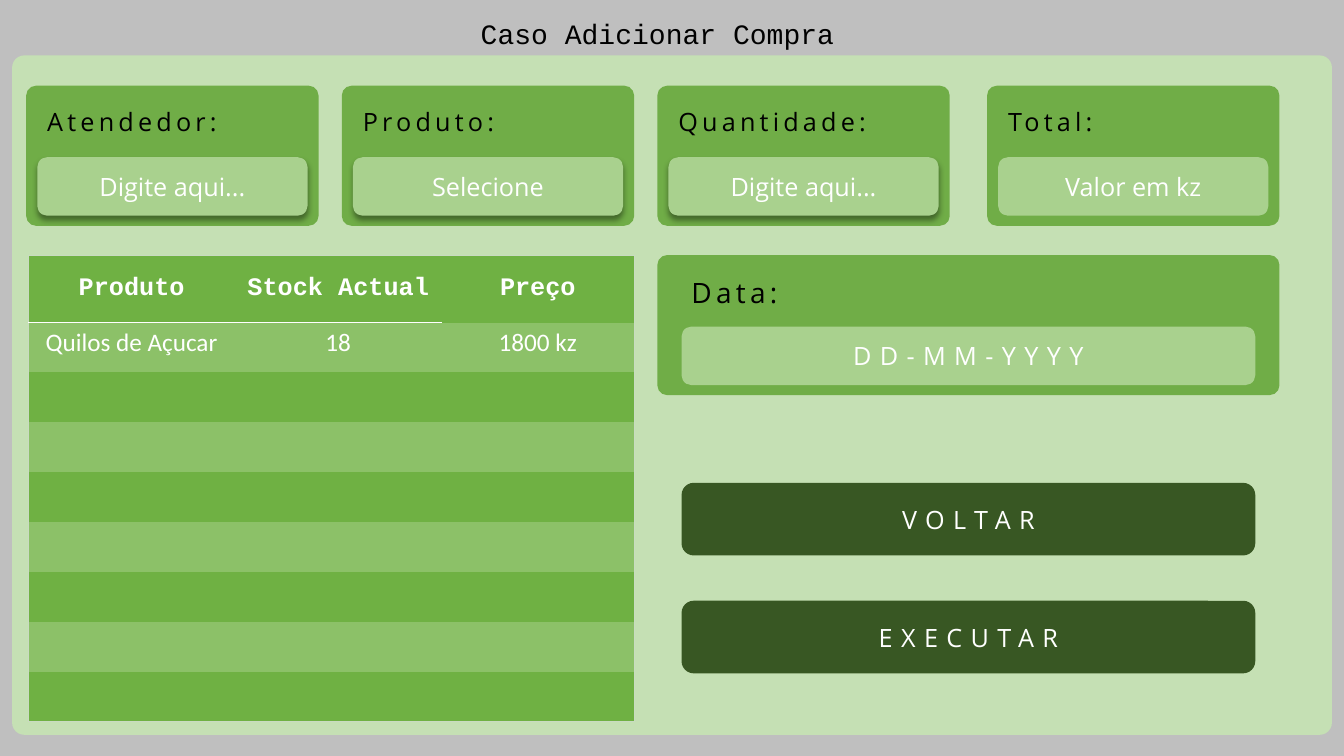
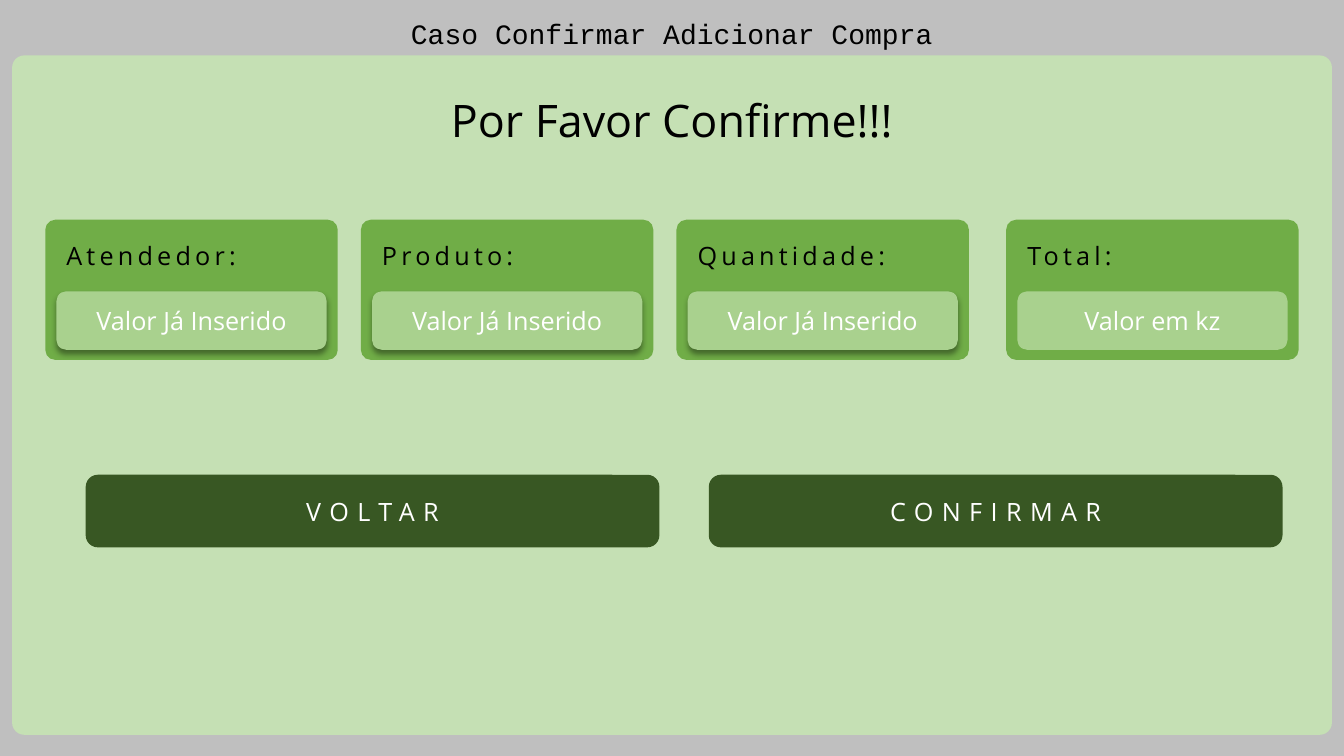
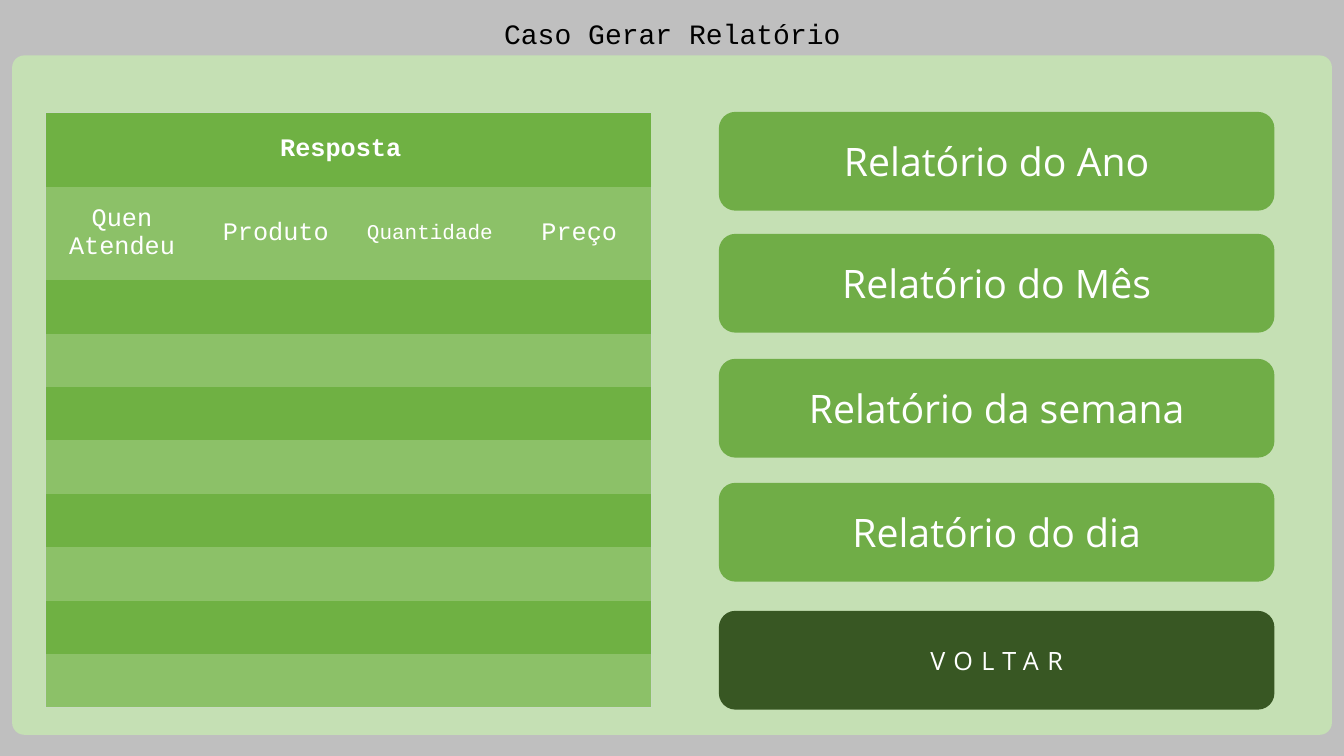
from lxml.etree import SubElement
from pptx import Presentation
from pptx.dml.color import RGBColor
from pptx.enum.shapes import MSO_SHAPE
from pptx.enum.text import MSO_ANCHOR, MSO_AUTO_SIZE, PP_ALIGN
from pptx.oxml import parse_xml
from pptx.oxml.ns import nsdecls, qn
from pptx.util import Inches, Pt

# Shared look
GREY, PANEL, CARD, INPUT, BUTTON = "BFBFBF", "C5E0B4", "70AD47", "A9D18E", "385723"
ROW, BAND, EDGE = "6FB143", "8CC168", "C9DBC1"
WHITE, BLACK = "FFFFFF", "000000"
SANS, MONO, BODY = "Open Sans", "Courier New", "Calibri"
CENTER, LEFT = PP_ALIGN.CENTER, PP_ALIGN.LEFT


def rgb(color):
    return RGBColor.from_string(color)


def write(tf, text, size, color, font=SANS, align=CENTER, spacing=0, bold=False):
    p = tf.paragraphs[0]
    p.alignment = align
    p.font.size, p.font.name, p.font.bold = Pt(size), font, bold
    p.font.color.rgb = rgb(color)
    r = p.add_run()
    r.text = text
    if spacing:
        r.font._element.set("spc", str(spacing * 100))


def label(s, text, left, top, width, height, size, **style):
    tf = s.shapes.add_textbox(
        Inches(left), Inches(top), Inches(width), Inches(height)).text_frame
    tf.word_wrap = True
    tf.auto_size = MSO_AUTO_SIZE.SHAPE_TO_FIT_TEXT
    write(tf, text, size, BLACK, **style)


def box(s, left, top, width, height, color, radius=None):
    sp = s.shapes.add_shape(MSO_SHAPE.ROUNDED_RECTANGLE, Inches(left),
                            Inches(top), Inches(width), Inches(height))
    sp.shadow.inherit = False
    sp.fill.solid()
    sp.fill.fore_color.rgb = rgb(color)
    sp.line.fill.background()
    if radius is not None:
        sp.adjustments[0] = radius
    return sp


def button(s, text, left, top, width, height, color=BUTTON, size=18, spacing=6):
    sp = box(s, left, top, width, height, color)
    sp.text_frame.vertical_anchor = MSO_ANCHOR.MIDDLE
    write(sp.text_frame, text, size, WHITE, spacing=spacing)
    return sp


def drop_shadow(sp):
    effects = sp._element.spPr.find(qn("a:effectLst"))
    shadow = SubElement(effects, qn("a:outerShdw"), blurRad=str(Pt(4)),
                        dist=str(Pt(3)), dir="5400000", algn="t", rotWithShape="0")
    black = SubElement(shadow, qn("a:srgbClr"), val=BLACK)
    SubElement(black, qn("a:alpha"), val="40000")


def card(s, name, value, left, top, width=2.9, inset=0.11, size=18,
         spacing=0, raised=False):
    """A titled card holding one input field."""
    inner = width - 2 * inset
    box(s, left, top, width, 1.39, CARD, 0.07)
    label(s, name, left + inset, top + 0.155, inner, 0.4, size,
          align=LEFT, spacing=3)
    field = button(s, value, left + inset, top + 0.71, inner, 0.58,
                   INPUT, spacing=spacing)
    if raised:
        drop_shadow(field)


def purchase_cards(s, left, top, values):
    names = ["Atendedor:", "Produto:", "Quantidade:"]
    for i, (name, value) in enumerate(zip(names, values)):
        card(s, name, value, left + 3.13 * i, top, raised=True)
    card(s, "Total:", "Valor em kz", left + 9.53, top)


def set_borders(cell, borders):
    """Draw the given sides as (color, points); hide the others."""
    tc_pr = cell._tc.get_or_add_tcPr()
    for i, side in enumerate("LRTB"):
        color, points = borders.get(side, (None, 0))
        paint = (f'<a:solidFill><a:srgbClr val="{color}"/></a:solidFill>'
                 if color else "<a:noFill/>")
        tc_pr.insert(i, parse_xml(
            f'<a:ln{side} {nsdecls("a")} w="{Pt(points)}">{paint}</a:ln{side}>'))


def table(s, left, top, widths, heights, rows, ruled=0):
    """Rows are (texts, font, bold, anchor); ruled counts underlined headings."""
    t = s.shapes.add_table(len(heights), len(widths), Inches(left), Inches(top),
                           Inches(sum(widths)), Inches(sum(heights))).table
    for column, width in zip(t.columns, widths):
        column.width = Inches(width)
    last_row, last_col = len(heights) - 1, len(widths) - 1
    for i, height in enumerate(heights):
        t.rows[i].height = Inches(height)
        for j in range(len(widths)):
            cell = t.cell(i, j)
            cell.fill.solid()
            cell.fill.fore_color.rgb = rgb(BAND if i % 2 else ROW)
            outer = {"L": j == 0, "R": j == last_col,
                     "T": i == 0, "B": i == last_row}
            borders = {side: (EDGE, 0.5) for side, on in outer.items() if on}
            if j < ruled and i < 2:
                borders["T" if i else "B"] = (WHITE, 1.5)
            set_borders(cell, borders)
    for i, (texts, font, bold, anchor) in enumerate(rows):
        for j, text in enumerate(texts):
            cell = t.cell(i, j)
            cell.vertical_anchor = anchor
            write(cell.text_frame, text, 18, WHITE, font, bold=bold)
    return t


def new_slide(prs, title, left=4.67, width=4, align=CENTER):
    s = prs.slides.add_slide(prs.slide_layouts[6])
    s.background.fill.solid()
    s.background.fill.fore_color.rgb = rgb(GREY)
    box(s, 0.12, 0.55, 13.09, 6.74, PANEL, 0.018)
    label(s, title, left, 0.11, width, 0.44, 20, font=MONO, align=align)
    return s


def add_purchase(prs):
    s = new_slide(prs, "Caso Adicionar Compra", align=LEFT)
    purchase_cards(s, 0.26, 0.85, ["Digite aqui...", "Selecione", "Digite aqui..."])
    table(s, 0.28, 2.53, [2.05, 2.05, 1.91], [0.67] + [0.495] * 8, [
        (["Produto", "Stock Actual", "Preço"], MONO, True, MSO_ANCHOR.MIDDLE),
        (["Quilos de Açucar", "18", "1800 kz"], BODY, False, MSO_ANCHOR.TOP),
    ], ruled=2)
    card(s, "Data:", "DD-MM-YYYY", 6.52, 2.53, 6.17, 0.24, 20, spacing=6)
    for text, top in [("VOLTAR", 4.79), ("EXECUTAR", 5.96)]:
        button(s, text, 6.76, top, 5.69, 0.72)


def confirm_purchase(prs):
    s = new_slide(prs, "Caso Confirmar Adicionar Compra", 3.85, 5.63)
    purchase_cards(s, 0.45, 2.18, ["Valor Já Inserido"] * 3)
    for text, left in [("VOLTAR", 0.85), ("CONFIRMAR", 7.03)]:
        button(s, text, left, 4.71, 5.69, 0.72)
    label(s, "Por Favor Confirme!!!", 4.04, 0.87, 5.25, 0.64, 32)


def make_report(prs):
    s = new_slide(prs, "Caso Gerar Relatório")
    t = table(s, 0.45, 1.11, [1.52, 1.53, 1.53, 1.43], [0.75, 0.92] + [0.53] * 8, [
        (["Resposta "], MONO, True, MSO_ANCHOR.MIDDLE),
        (["Quen Atendeu", "Produto", "Quantidade", "Preço"], MONO, False,
         MSO_ANCHOR.MIDDLE),
    ])
    t.cell(0, 0).merge(t.cell(0, 3))
    t.cell(1, 2).text_frame.paragraphs[0].font.size = Pt(15)
    # Report choices
    for period, top in [("do Ano", 1.11), ("do Mês", 2.32),
                        ("da semana", 3.56), ("do dia", 4.79)]:
        button(s, f"Relatório {period}", 7.13, top, 5.51, 0.98, CARD, 28, 0)
    button(s, "VOLTAR", 7.13, 6.06, 5.51, 0.98)


def main():
    prs = Presentation()
    prs.slide_width, prs.slide_height = Inches(13.33), Inches(7.5)
    add_purchase(prs)
    confirm_purchase(prs)
    make_report(prs)
    prs.save("out.pptx")


if __name__ == "__main__":
    main()
